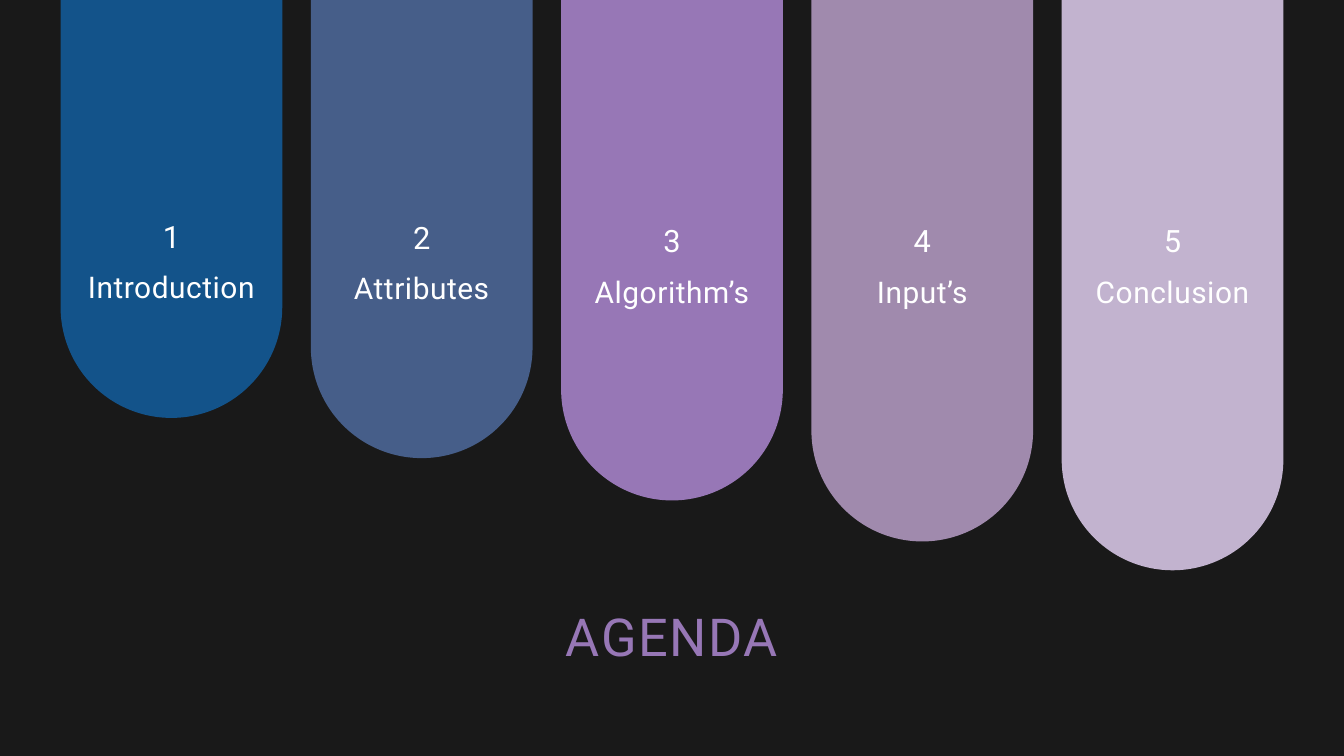
from pptx import Presentation
from pptx.dml.color import RGBColor as Rgb
from pptx.enum.shapes import MSO_SHAPE as Kind
from pptx.enum.text import MSO_AUTO_SIZE as Fit, PP_ALIGN as Align
from pptx.util import Cm, Pt

TITLE = "AGENDA"
ITEMS = [
    ("Introduction", "13538A", 15.8, 8.23),
    ("Attributes", "465E89", 17.32, 8.26),
    ("Algorithm’s", "9777B6", 18.92, 8.4),
    ("Input’s", "A08AAD", 20.47, 8.4),
    ("Conclusion", "C2B3CF", 21.56, 8.4),
]
THEME = {
    "font": "Roboto",
    "back": "191919",
    "title": {"size": 56, "lead": 72.8, "track": 1.7, "color": "9777B6"},
    "number": {"size": 33, "lead": 39.6, "track": 3.3, "color": "FFFFFF"},
    "label": {"size": 32, "lead": 44.8, "track": 0.6, "color": "FFFFFF"},
}
WIDE, HIGH = 50.8, 28.58
BAR, STEP = 8.38, 9.46
EDGE = (WIDE - BAR - STEP * (len(ITEMS) - 1)) / 2
DROP = 1.72


def write(slide, text, *, mid, top, width, height, size, lead, track, color):
    """Place one line of text centred on mid."""
    box = slide.shapes.add_textbox(
        Cm(mid - width / 2), Cm(top), Cm(width), Cm(height))
    frame = box.text_frame
    frame.word_wrap = True
    frame.auto_size = Fit.SHAPE_TO_FIT_TEXT
    frame.margin_left = frame.margin_right = 0
    frame.margin_top = frame.margin_bottom = 0
    para = frame.paragraphs[0]
    para.alignment = Align.CENTER
    para.line_spacing = Pt(lead)
    run = para.add_run()
    run.text = text
    run.font.name = THEME["font"]
    run.font.size = Pt(size)
    run.font.color.rgb = Rgb.from_string(color)
    run.font._element.set("spc", str(round(track * 100)))


def draw(slide, left, height, color):
    """Hang one bar with a round foot from the top edge."""
    bar = slide.shapes.add_shape(
        Kind.ROUND_2_SAME_RECTANGLE, Cm(left), 0, Cm(BAR), Cm(height))
    bar.adjustments[0] = 0
    bar.adjustments[1] = 0.5
    bar.shadow.inherit = False
    bar.fill.solid()
    bar.fill.fore_color.rgb = Rgb.from_string(color)
    bar.line.fill.background()


def main():
    """Build the agenda slide."""
    deck = Presentation()
    deck.slide_width, deck.slide_height = Cm(WIDE), Cm(HIGH)
    slide = deck.slides.add_slide(deck.slide_layouts[6])
    back = slide.background.fill
    back.solid()
    back.fore_color.rgb = Rgb.from_string(THEME["back"])
    for i, (label, color, height, top) in enumerate(ITEMS):
        left = EDGE + i * STEP
        mid = left + BAR / 2
        draw(slide, left, height, color)
        write(slide, str(i + 1), mid=mid, top=top, width=6.83, height=1.38,
              **THEME["number"])
        write(slide, label, mid=mid, top=top + DROP, width=6.83, height=1.45,
              **THEME["label"])
    write(slide, TITLE, mid=WIDE / 2, top=22.66, width=31, height=2.49,
          **THEME["title"])
    deck.save("out.pptx")


if __name__ == "__main__":
    main()
